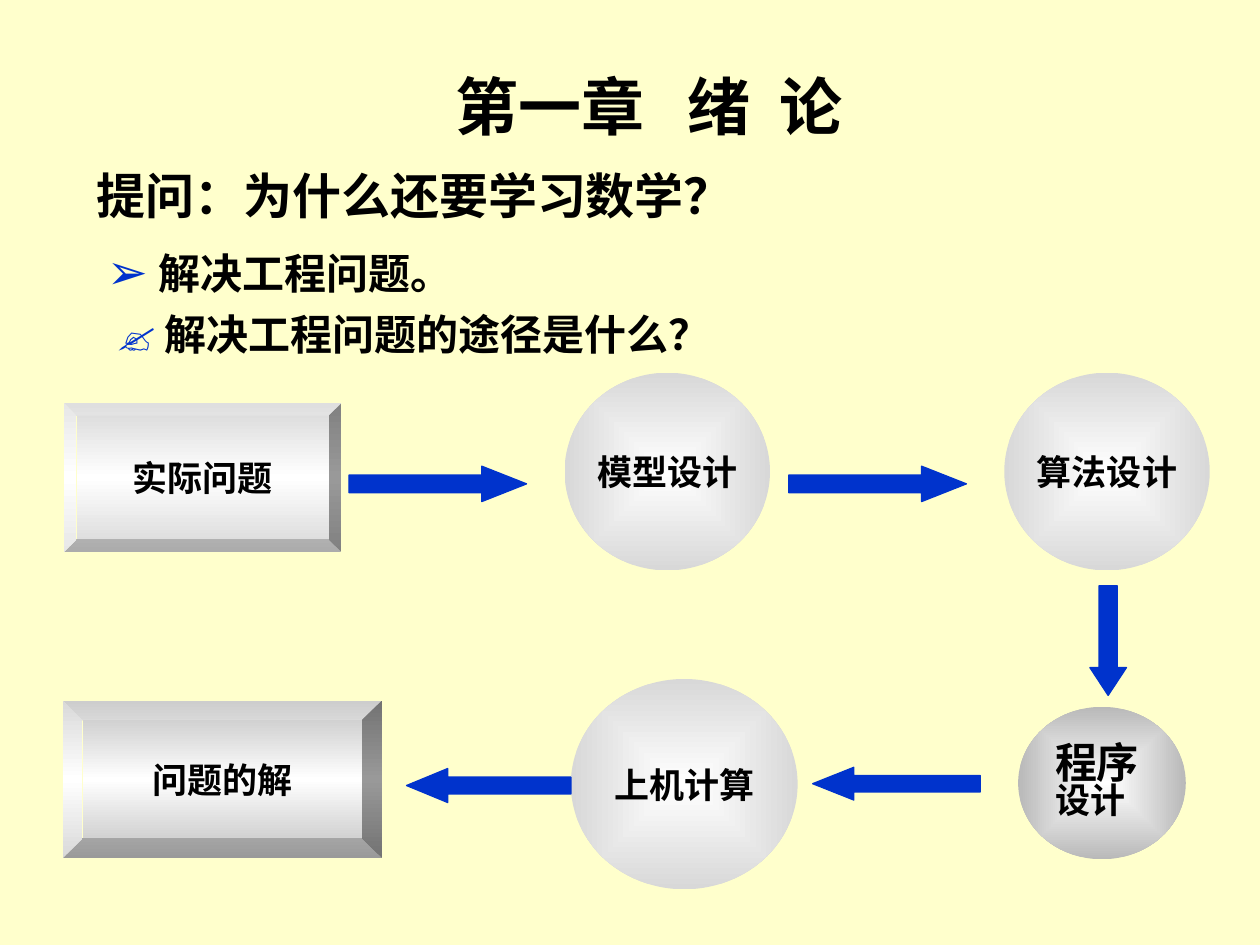
from pptx import Presentation
from pptx.dml.color import RGBColor
from pptx.enum.shapes import MSO_SHAPE
from pptx.enum.text import MSO_ANCHOR, PP_ALIGN
from pptx.oxml import parse_xml
from pptx.oxml.ns import nsdecls, qn
from pptx.util import Pt

BLUE, BLACK, SILVER = "0033CC", "000000", "D8D8D8"
SERIF, SANS, CJK = "Times New Roman", "Arial", "Noto Sans CJK SC"


def color(hex_code):
    return RGBColor.from_string(hex_code)


def style_run(run, size, font=SERIF, ink=BLACK):
    run.font.size, run.font.bold, run.font.name = Pt(size), True, font
    run.font.color.rgb = color(ink)
    if font != SANS:
        east_asian = parse_xml(f'<a:ea {nsdecls("a")} typeface="{CJK}"/>')
        run.font._element.find(qn("a:latin")).addnext(east_asian)


def add_text(slide, box, anchor=MSO_ANCHOR.TOP):
    frame = slide.shapes.add_textbox(*map(Pt, box)).text_frame
    frame.word_wrap = True
    frame.vertical_anchor = anchor
    return frame


def heading(slide, box, text, size, align=PP_ALIGN.LEFT):
    frame = add_text(slide, box, MSO_ANCHOR.MIDDLE)
    frame.text = text
    frame.paragraphs[0].alignment = align
    style_run(frame.paragraphs[0].runs[0], size)


def point(slide, box, mark, mark_size, text, font):
    paragraph = add_text(slide, box).paragraphs[0]
    hanging = paragraph._p.get_or_add_pPr()
    hanging.set("marL", str(Pt(27)))
    hanging.set("indent", str(-Pt(27)))
    for content, size, face, ink in ((mark, mark_size, SANS, BLUE), (text, 24, font, BLACK)):
        run = paragraph.add_run()
        run.text = content
        style_run(run, size, face, ink)


def shade(shape, stops, direction):
    """Fill with a gradient of (percent, colour) stops."""
    shape.fill.gradient()
    old = shape._element.spPr.find(qn("a:gradFill"))
    marks = "".join(f'<a:gs pos="{at * 1000}"><a:srgbClr val="{tone}"/></a:gs>' for at, tone in stops)
    new = parse_xml(f'<a:gradFill {nsdecls("a")} rotWithShape="1">'
                    f'<a:gsLst>{marks}</a:gsLst>{direction}</a:gradFill>')
    old.getparent().replace(old, new)


def stage(slide, kind, box, lines, sizes=(20,), align=PP_ALIGN.CENTER, inset=0, spacing=None):
    shape = slide.shapes.add_shape(kind, *map(Pt, box))
    shape.shadow.inherit = False
    shape.line.fill.background()
    frame = shape.text_frame
    frame.word_wrap = False
    frame.vertical_anchor = MSO_ANCHOR.MIDDLE
    frame.margin_left = frame.margin_right = Pt(inset)
    frame.text = lines
    for paragraph, size in zip(frame.paragraphs, sizes):
        paragraph.alignment = align
        paragraph.line_spacing = spacing
        style_run(paragraph.runs[0], size)
    return shape


def bevel(slide, box, label, depth, edge):
    shape = stage(slide, MSO_SHAPE.BEVEL, box, label)
    shape.adjustments[0] = depth
    shade(shape, ((0, edge), (50, "FFFFFF"), (100, edge)), '<a:lin ang="5400000" scaled="1"/>')


def disc(slide, box, label, edge=SILVER, **text):
    shape = stage(slide, MSO_SHAPE.OVAL, box, label, **text)
    shade(shape, ((0, "FFFFFF"), (100, edge)),
          '<a:path path="rect"><a:fillToRect l="50000" t="50000" r="50000" b="50000"/></a:path>')


def arrow(slide, kind, box, head):
    shape = slide.shapes.add_shape(kind, *map(Pt, box))
    shape.shadow.inherit = False
    shape.adjustments[0], shape.adjustments[1] = 0.5, head
    shape.fill.solid()
    shape.fill.fore_color.rgb = shape.line.color.rgb = color(BLUE)
    shape.line.width = Pt(0.75)


def design_row(slide, left, top):
    bevel(slide, (left + 0.7, top + 17.4, 158.4, 85), "实际问题", 0.084, SILVER)
    # Each design step is an arrow followed by a disc
    for step, label in enumerate(("模型设计", "算法设计")):
        x = left + step * 251.3
        disc(slide, (x + 286.6, top, 117.4, 113), label)
        arrow(slide, MSO_SHAPE.RIGHT_ARROW, (x + 163.4, top + 53.4, 101.5, 20.2), 1.266)


def solution_row(slide, left, top):
    # Program design, right-hand end
    disc(slide, (left + 545.8, top + 15.9, 95.8, 87.1), "程序\n设计", "B9B9B9",
         sizes=(24, 20), align=PP_ALIGN.LEFT, inset=7.2, spacing=0.8)
    # Computing
    disc(slide, (left + 290.2, top, 129.6, 120.2), "上机计算")
    arrow(slide, MSO_SHAPE.LEFT_ARROW, (left + 428.4, top + 50.5, 95.8, 18.7), 1.258)
    # Answer
    bevel(slide, (left, top + 12.3, 182.2, 90), "问题的解", 0.125, "C1C1C1")
    arrow(slide, MSO_SHAPE.LEFT_ARROW, (left + 196.3, top + 51.2, 93.9, 19.4), 1.213)


def main():
    deck = Presentation()
    deck.slide_width, deck.slide_height = Pt(720), Pt(540)
    slide = deck.slides.add_slide(deck.slide_layouts[6])
    slide.background.fill.solid()
    slide.background.fill.fore_color.rgb = color("FFFFCC")

    # Chapter title, question and points
    heading(slide, (64.8, 15.1, 612, 90), "第一章   绪  论", 36, PP_ALIGN.CENTER)
    heading(slide, (48.2, 77, 612, 69), "提问：为什么还要学习数学？", 28)
    point(slide, (54, 133.9, 612, 46), "➢ ", 28, "解决工程问题。", SERIF)
    point(slide, (59.8, 172.8, 612, 46), "✍ ", 24, "解决工程问题的途径是什么？", CJK)

    # Route from problem to answer
    design_row(slide, 36, 213)
    arrow(slide, MSO_SHAPE.DOWN_ARROW, (622.8, 334.8, 20.9, 62.6), 0.759)
    solution_row(slide, 36, 388)

    deck.save("out.pptx")


if __name__ == "__main__":
    main()
